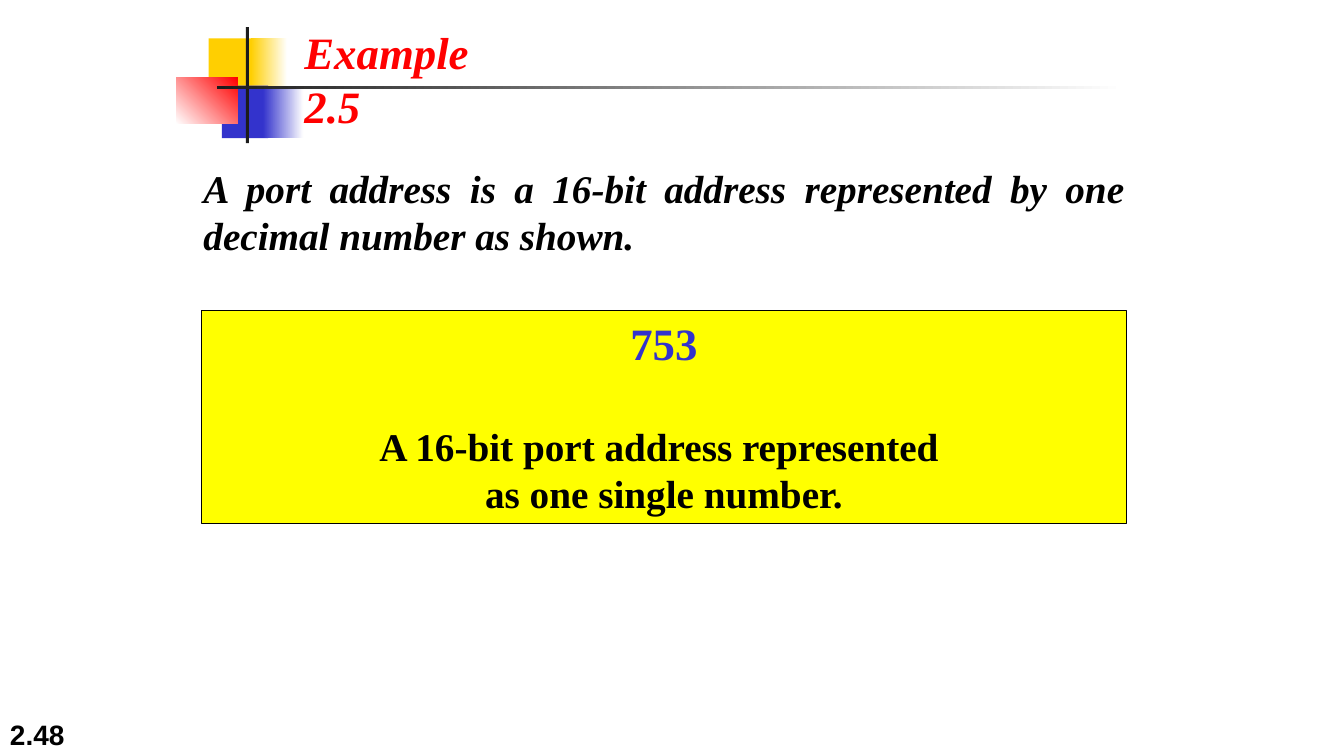
from pptx import Presentation
from pptx.dml.color import RGBColor as RGB
from pptx.enum.shapes import MSO_SHAPE as SHAPE
from pptx.enum.text import MSO_ANCHOR as ANCHOR, PP_ALIGN as ALIGN
from pptx.util import Inches, Pt

HUES = {
    "gold": "FFCF01", "blue": "3333CC", "red": "FF0000", "ink": "1C1C1C",
    "black": "000000", "white": "FFFFFF", "yellow": "FFFF00",
}
SERIF = "Times New Roman"


def hue(name):
    """Return the named colour."""
    return RGB.from_string(HUES[name])


def block(slide, box, *tints, angle=0):
    """Draw a borderless rectangle, plain or fading between two tints."""
    shape = slide.shapes.add_shape(SHAPE.RECTANGLE, *map(Inches, box))
    shape.shadow.inherit = False
    shape.line.fill.background()
    fill = shape.fill
    if len(tints) == 1:
        fill.solid()
        fill.fore_color.rgb = hue(tints[0])
    else:
        fill.gradient()
        fill.gradient_angle = angle
        for stop, tint in zip(fill.gradient_stops, tints):
            stop.color.rgb = hue(tint)
    return shape


def style(para, size, tint, font=SERIF, slant=False, align=ALIGN.LEFT):
    """Format every run of a paragraph in bold."""
    para.alignment = align
    for run in para.runs:
        face = run.font
        face.name, face.size = font, Pt(size)
        face.bold, face.italic = True, slant
        face.color.rgb = hue(tint)


def label(slide, box, text, size, tint, anchor=ANCHOR.TOP, **look):
    """Add a wrapped text box with one paragraph."""
    frame = slide.shapes.add_textbox(*map(Inches, box)).text_frame
    frame.word_wrap = True
    frame.vertical_anchor = anchor
    frame.text = text
    style(frame.paragraphs[0], size, tint, **look)


def header(slide, left, top, width):
    """Draw the overlapping squares, the crossed bars and the title."""
    block(slide, (left + 0.32, top + 0.11, 0.48, 0.52), "gold")
    block(slide, (left + 0.74, top + 0.11, 0.36, 0.52), "gold", "white")
    block(slide, (left + 0.45, top + 0.58, 0.46, 0.52), "blue")
    block(slide, (left + 0.86, top + 0.58, 0.4, 0.52), "blue", "white")
    block(slide, (left, top + 0.5, 0.61, 0.46), "white", "red", angle=45)
    block(slide, (left + 0.69, top, 0.03, 1.15), "ink")
    block(slide, (left + 0.4, top + 0.58, width - 0.4, 0.03), "ink", "white")
    label(slide, (left + 1.17, top - 0.07, 2.45, 0.63), "Example 2.5",
          32, "red", slant=True)


def panel(slide, box):
    """Draw the yellow panel with the port number and its caption."""
    shape = block(slide, box, "yellow")
    shape.line.color.rgb = hue("black")
    shape.line.width = Pt(0.75)
    frame = shape.text_frame
    frame.word_wrap = True
    frame.vertical_anchor = ANCHOR.TOP
    frame.text = "753\nA 16-bit port address represented \vas one single number."
    port, note = frame.paragraphs
    style(port, 32, "blue", align=ALIGN.CENTER)
    style(note, 28, "black", align=ALIGN.CENTER)
    note.space_before = Pt(38)


def main():
    """Build the slide and save it."""
    deck = Presentation()
    deck.slide_width, deck.slide_height = Inches(13.33), Inches(7.5)
    slide = deck.slides.add_slide(deck.slide_layouts[6])
    label(slide, (0, 7, 2.78, 0.5), "2.48", 20, "black",
          anchor=ANCHOR.BOTTOM, font="Arial")
    header(slide, 1.75, 0.27, 9.4)
    label(slide, (1.92, 1.58, 9.33, 1.03),
          "A port address is a 16-bit address represented by one "
          "decimal number as shown.",
          28, "black", slant=True, align=ALIGN.JUSTIFY)
    panel(slide, (2, 3.08, 9.17, 2.11))
    deck.save("out.pptx")


if __name__ == "__main__":
    main()
